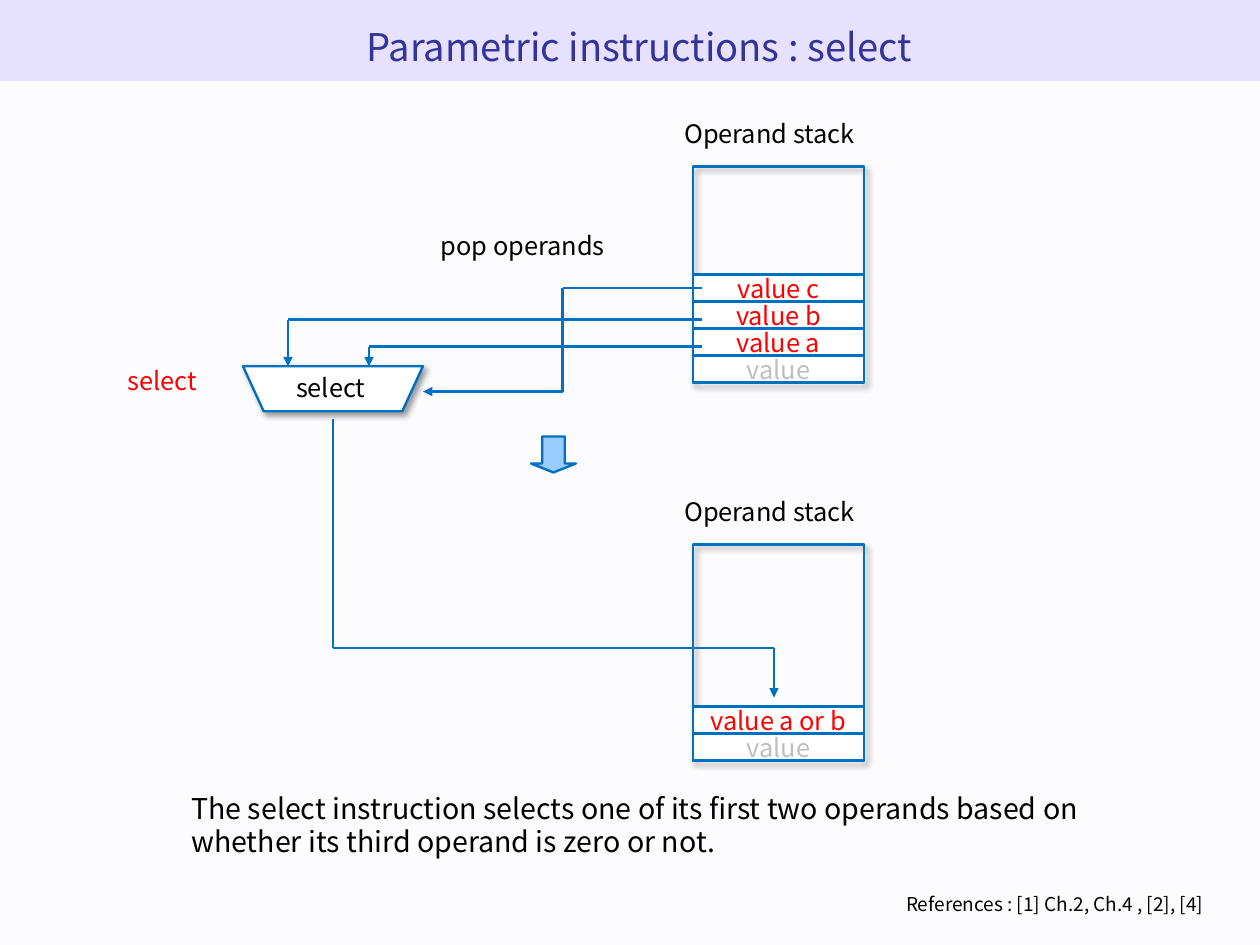
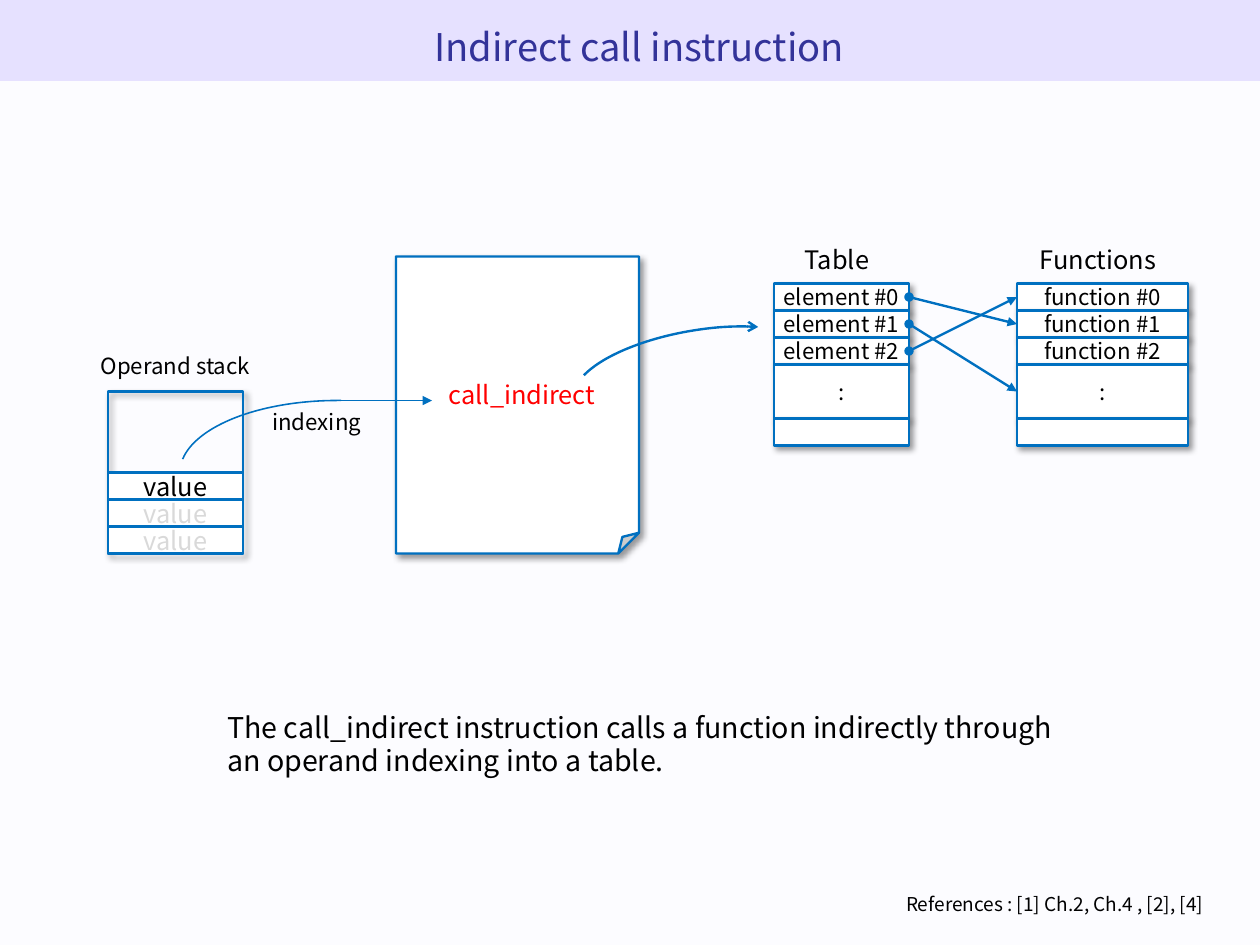
from dataclasses import dataclass
from itertools import pairwise

from lxml import etree
from pptx import Presentation, util as u
from pptx.dml.color import RGBColor
from pptx.enum import shapes, text
from pptx.oxml import ns

# Grid: 140 columns by 105 rows of 2 mm
COLS, ROWS = 140, 105
CELL = u.Mm(2)
ROW = 3  # height of a stack or table row
FONT = "Noto Sans CJK SC"
HUES = {
    "page": "FCFCFF", "band": "E6E1FF", "title": "333399", "ink": "000000",
    "line": "0070C0", "box": "FFFFFF", "hot": "FF0000", "arrow": "99CCFF",
    "gray": "BFBFBF", "pale": "D9D9D9",
}
KINDS = shapes.MSO_SHAPE
LEFT, MID, RIGHT = text.PP_ALIGN.LEFT, text.PP_ALIGN.CENTER, text.PP_ALIGN.RIGHT


@dataclass(frozen=True)
class Box:
    x: float
    y: float
    w: float
    h: float

    def spot(self) -> tuple[int, ...]:
        return tuple(grid(v) for v in (self.x, self.y, self.w, self.h))


@dataclass(frozen=True)
class Label:
    words: str
    box: Box
    size: int = 16
    hue: str = "ink"
    align: text.PP_ALIGN = MID
    middle: bool = False
    pitch: float = 1.0


@dataclass(frozen=True)
class Stack:
    box: Box
    rows: tuple[tuple[str, str], ...]  # words and hue, filled from the bottom


@dataclass(frozen=True)
class Table:
    x: float
    w: float
    noun: str
    head: Label


@dataclass(frozen=True)
class Route:
    points: tuple[tuple[float, float], ...]
    width: float = 1.5


def grid(cells: float) -> int:
    return round(cells * CELL)


def tint(name: str) -> RGBColor:
    return RGBColor.from_string(HUES[name])


def node(parent, tag: str, **attrs: str):
    return etree.SubElement(parent, ns.qn(tag), attrs)


# Text
def style(frame, words: str, size: int, hue: str = "ink", align=MID, pitch: float = 1.0) -> None:
    frame.text = words
    para = frame.paragraphs[0]
    para.alignment, para.line_spacing = align, pitch
    for run in para.runs:
        run.font.size, run.font.name = u.Pt(size), FONT
        run.font.color.rgb = tint(hue)


def write(slide, label: Label) -> None:
    frame = slide.shapes.add_textbox(*label.box.spot()).text_frame
    frame.word_wrap = True
    frame.vertical_anchor = text.MSO_ANCHOR.MIDDLE if label.middle else text.MSO_ANCHOR.TOP
    style(frame, label.words, label.size, label.hue, label.align, label.pitch)


# Shapes
def shade(shape) -> None:
    cast = node(shape.element.spPr.find(ns.qn("a:effectLst")), "a:outerShdw",
                blurRad=str(u.Pt(4)), dist=str(u.Pt(3)), dir="2700000", algn="tl", rotWithShape="0")
    node(node(cast, "a:srgbClr", val=HUES["ink"]), "a:alpha", val="40000")


def bend(shape, values: dict[str, float]) -> None:
    guides = shape.element.spPr.find(ns.qn("a:prstGeom")).find(ns.qn("a:avLst"))
    for old in list(guides):
        guides.remove(old)
    for name, value in values.items():
        node(guides, "a:gd", name=name, fmla=f"val {round(value * 100000)}")


def draw(slide, kind, box: Box, fill: str = "box", shadow: bool = False,
         adjust: dict[str, float] | None = None, width: float = 1.5):
    shape = slide.shapes.add_shape(kind, *box.spot())
    shape.shadow.inherit = False
    if fill:
        shape.fill.solid()
        shape.fill.fore_color.rgb = tint(fill)
    else:
        shape.fill.background()
    shape.line.color.rgb, shape.line.width = tint("line"), u.Pt(width)
    if adjust:
        bend(shape, adjust)
    if shadow:
        shade(shape)
    return shape


def cell(slide, box: Box, words: str, size: int, hue: str = "ink", shadow: bool = False):
    shape = draw(slide, KINDS.RECTANGLE, box, shadow=shadow)
    if words:
        frame = shape.text_frame
        frame.word_wrap = False
        frame.vertical_anchor = text.MSO_ANCHOR.MIDDLE
        style(frame, words, size, hue)
    return shape


def pile(slide, stack: Stack) -> None:
    box = stack.box
    draw(slide, KINDS.RECTANGLE, box, fill="", shadow=True)
    top = box.y + box.h - ROW * len(stack.rows)
    for i, (words, hue) in enumerate(stack.rows):
        cell(slide, Box(box.x, top + i * ROW, box.w, ROW), words, 16, hue)


def tabulate(slide, table: Table, top: float = 31.5) -> list:
    write(slide, table.head)
    cells = []
    entries = [(f"{table.noun} #{i}", 1) for i in range(3)] + [(":", 2), ("", 1)]
    for words, span in entries:
        cells.append(cell(slide, Box(table.x, top, table.w, span * ROW), words, 14, shadow=True))
        top += span * ROW
    return cells


# Lines
def tip(shape, end: str, kind: str) -> None:
    node(shape.element.spPr.find(ns.qn("a:ln")), f"a:{end}End", type=kind)


def link(slide, start: tuple[float, float], stop: tuple[float, float], width: float = 1.5):
    ends = [grid(v) for v in (*start, *stop)]
    line = slide.shapes.add_connector(shapes.MSO_CONNECTOR.STRAIGHT, *ends)
    line.line.color.rgb, line.line.width = tint("line"), u.Pt(width)
    node(line.element.spPr, "a:effectLst")
    return line


def trace(slide, route: Route) -> None:
    lines = [link(slide, a, b, route.width) for a, b in pairwise(route.points)]
    tip(lines[-1], "tail", "triangle")


# Shared parts
def setup(prs):
    prs.slide_width, prs.slide_height = grid(COLS), grid(ROWS)
    fill = prs.slide_master.background.fill
    fill.solid()
    fill.fore_color.rgb = tint("page")
    return prs.slide_layouts[5]


def start(prs, layout, title: str):
    slide = prs.slides.add_slide(layout)
    if len(prs.slides) == 1:  # the band lives on the layout
        band = draw(slide, KINDS.RECTANGLE, Box(0, 0, COLS, 9), "band")
        band.line.fill.background()
        layout.shapes.element.insert(2, band.element)
    head = slide.shapes.title
    head.left, head.top, head.width, head.height = Box(5, 2, 132, 12).spot()
    frame = head.text_frame
    frame.auto_size = text.MSO_AUTO_SIZE.NONE
    frame.vertical_anchor = text.MSO_ANCHOR.TOP
    style(frame, title, 24, "title")
    write(slide, Label("References : [1] Ch.2, Ch.4 , [2], [4]", Box(6, 98.5, 129, 4.7), 12, align=RIGHT))
    return slide


# Slide 1
def select(prs, layout) -> None:
    slide = start(prs, layout, "Parametric instructions : select")
    stacks = (
        Stack(Box(77, 18.5, 19, 24),
              (("value c", "hot"), ("value b", "hot"), ("value a", "hot"), ("value", "gray"))),
        Stack(Box(77, 60.5, 19, 24), (("value a or b", "hot"), ("value", "gray"))),
    )
    for stack in stacks:
        write(slide, Label("Operand stack", Box(73, stack.box.y - 6, 25, 5)))
        pile(slide, stack)
    draw(slide, KINDS.DOWN_ARROW, Box(59, 48.5, 5, 4), "arrow", adjust={"adj1": 0.5, "adj2": 0.25})
    gate = draw(slide, KINDS.TRAPEZOID, Box(27, 40.7, 20, 5), shadow=True, adjust={"adj": 0.46})
    gate.element.spPr.find(ns.qn("a:xfrm")).set("flipV", "1")
    labels = (
        Label("pop operands", Box(46.6, 24.5, 23, 5.6), middle=True),
        Label("select", Box(3, 39.5, 30, 5.6), hue="hot", middle=True),
        Label("select", Box(28, 39.5, 17.5, 7.1), middle=True),
        Label("The select instruction selects one of its first two operands based on "
              "whether its third operand is zero or not.",
              Box(20, 87.5, 110, 6), 18, align=LEFT, pitch=0.97),
    )
    for label in labels:
        write(slide, label)
    routes = (
        Route(((78, 35.5), (32, 35.5), (32, 40.7))),
        Route(((78, 38.5), (41, 38.5), (41, 40.7))),
        Route(((78, 32), (62.5, 32), (62.5, 43.5), (47, 43.5))),
        Route(((37, 46.5), (37, 72), (86, 72), (86, 77.5))),
    )
    for route in routes:
        trace(slide, route)


# Slide 2
def indirect(prs, layout) -> None:
    slide = start(prs, layout, "Indirect call instruction")
    draw(slide, KINDS.FOLDED_CORNER, Box(44, 28.5, 27, 33), shadow=True, adjust={"adj": 0.085})
    call = draw(slide, KINDS.ARC, Box(63.6, 36.7, 28, 10.5), "",
                adjust={"adj1": 126.35, "adj2": 209.58})
    call.rotation = 350.4
    call.element.spPr.find(ns.qn("a:xfrm")).set("flipH", "1")
    tip(call, "head", "arrow")

    tables = (
        Table(113, 19, "function", Label("Functions", Box(111, 26.5, 22, 6))),
        Table(86, 15, "element", Label("Table", Box(82, 26.5, 22, 6))),
    )
    funcs, items = (tabulate(slide, table) for table in tables)
    for i, j in ((0, 1), (2, 0), (1, 3)):
        line = link(slide, (101, 33), (113, 33))
        line.begin_connect(items[i], 3)
        line.end_connect(funcs[j], 1)
        tip(line, "head", "oval")
        tip(line, "tail", "triangle")

    pile(slide, Stack(Box(12, 43.5, 15, 18), (("value", "ink"), ("value", "pale"), ("value", "pale"))))
    draw(slide, KINDS.ARC, Box(20, 44.5, 35, 16), "",
         adjust={"adj1": 110.95, "adj2": 163.77}, width=1)
    trace(slide, Route(((37.5, 44.5), (48, 44.5)), 1))
    labels = (
        Label("call_indirect", Box(46, 41.5, 24, 6), hue="hot"),
        Label("Operand stack", Box(7, 38.5, 25, 5), 14),
        Label("indexing", Box(29, 44.5, 18, 4.7), 14, align=LEFT, middle=True),
        Label("The call_indirect instruction calls a function indirectly through "
              "an operand indexing into a table.",
              Box(24, 78.5, 97, 6), 18, align=LEFT, pitch=0.97),
    )
    for label in labels:
        write(slide, label)


def main() -> None:
    prs = Presentation()
    layout = setup(prs)
    select(prs, layout)
    indirect(prs, layout)
    prs.save("out.pptx")


if __name__ == "__main__":
    main()
